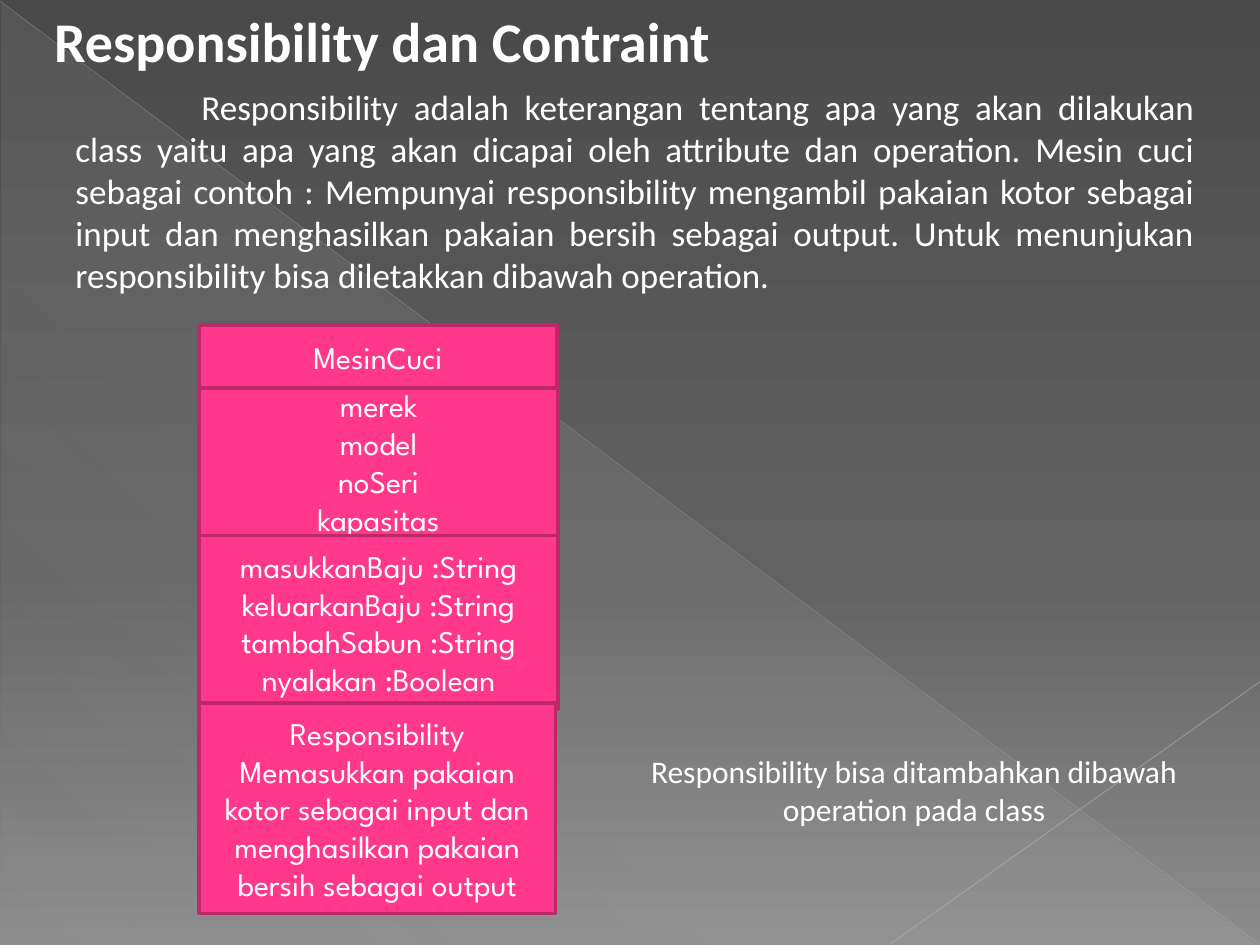
from pptx import Presentation
from pptx.dml.color import RGBColor
from pptx.enum.shapes import MSO_CONNECTOR as CONN, MSO_SHAPE as SHAPE
from pptx.enum.text import MSO_ANCHOR as ANCHOR, MSO_AUTO_SIZE as AUTO, PP_ALIGN as ALIGN
from pptx.oxml import parse_xml
from pptx.oxml.ns import nsdecls, qn
from pptx.util import Inches, Pt

WHITE = RGBColor(0xFF, 0xFF, 0xFF)
PINK = RGBColor(0xFF, 0x38, 0x8C)
DARK_PINK = RGBColor(0xBD, 0x29, 0x68)
DARK_GRAY = RGBColor(0x4A, 0x4A, 0x4A)
MID_GRAY = RGBColor(0x62, 0x62, 0x62)
LIGHT_GRAY = RGBColor(0x8C, 0x8C, 0x8C)
PALE_GRAY = RGBColor(0xD2, 0xD2, 0xD2)
LONG_LINE = RGBColor(0xBF, 0xBF, 0xBF)
SHORT_LINE = RGBColor(0xC6, 0xC6, 0xC6)

CLASS_LEFT = 1.58
# top, width, height, paragraphs of each compartment
COMPARTMENTS = [
    (2.58, 2.84, 0.5, ["MesinCuci"]),
    (3.08, 2.85, 1.17, ["merek", "model", "noSeri", "kapasitas"]),
    (4.25, 2.85, 1.38, ["masukkanBaju :String", "keluarkanBaju :String",
                        "tambahSabun :String", "nyalakan :Boolean"]),
    (5.58, 2.83, 1.67, ["Responsibility",
                        "Memasukkan pakaian kotor sebagai input dan "
                        "menghasilkan pakaian bersih sebagai output"]),
]
BODY = ("Responsibility adalah keterangan tentang apa yang akan dilakukan class "
        "yaitu apa yang akan dicapai oleh attribute dan operation. Mesin cuci "
        "sebagai contoh : Mempunyai responsibility mengambil pakaian kotor sebagai "
        "input dan menghasilkan pakaian bersih sebagai output. Untuk menunjukan "
        "responsibility bisa diletakkan dibawah operation.")


def set_gradient(fill, owner, stops, angle):
    """Fill owner with (position %, colour, opacity %) stops."""
    fill.gradient()
    old = owner.find(".//" + qn("a:gradFill"))
    gs = "".join(
        f'<a:gs pos="{pos * 1000}"><a:srgbClr val="{color}">'
        f'<a:alpha val="{opacity * 1000}"/></a:srgbClr></a:gs>'
        for pos, color, opacity in stops)
    new = parse_xml(f'<a:gradFill {nsdecls("a")} rotWithShape="1"><a:gsLst>{gs}</a:gsLst>'
                    f'<a:lin ang="{angle * 60000}" scaled="0"/></a:gradFill>')
    old.getparent().replace(old, new)


class SlideBuilder:
    text_font = "Calibri"
    class_font = "League Spartan"

    def __init__(self, prs):
        self.s = prs.slides.add_slide(prs.slide_layouts[5])

    def background(self, stops):
        set_gradient(self.s.background.fill, self.s.element, stops, 90)

    def triangle(self, x, y, w, h, stops, angle):
        sp = self.s.shapes.add_shape(SHAPE.RIGHT_TRIANGLE, Inches(x), Inches(y),
                                     Inches(w), Inches(h))
        sp.shadow.inherit = False
        sp.line.fill.background()
        set_gradient(sp.fill, sp.element, stops, angle)

    def line(self, x1, y1, x2, y2, color, width, opacity):
        ln = self.s.shapes.add_connector(CONN.STRAIGHT, Inches(x1), Inches(y1),
                                         Inches(x2), Inches(y2))
        ln.line.color.rgb = color
        ln.line.width = Pt(width)
        clr = ln.element.find(".//" + qn("a:srgbClr"))
        clr.append(parse_xml(f'<a:alpha {nsdecls("a")} val="{opacity * 1000}"/>'))
        ln.element.spPr.append(parse_xml(f'<a:effectLst {nsdecls("a")}/>'))

    def set_text(self, sp, paragraphs, font, size, align, bold=False, anchor=ANCHOR.TOP):
        tf = sp.text_frame
        tf.word_wrap = True
        tf.auto_size = AUTO.NONE
        tf.vertical_anchor = anchor
        tf.text = "\n".join(paragraphs)
        for p in tf.paragraphs:
            p.alignment = align
            p.font.name = font
            p.font.size = Pt(size)
            p.font.bold = bold
            p.font.color.rgb = WHITE
        return tf

    def title(self, x, y, w, h, text):
        sp = self.s.shapes.title
        sp.left, sp.top, sp.width, sp.height = map(Inches, (x, y, w, h))
        self.set_text(sp, [text], self.text_font, 32, ALIGN.LEFT, bold=True)
        sp.element.getparent().append(sp.element)  # in front of the decoration

    def text(self, x, y, w, h, text, size, align):
        sp = self.s.shapes.add_textbox(Inches(x), Inches(y), Inches(w), Inches(h))
        return self.set_text(sp, [text], self.text_font, size, align)

    def compartment(self, x, y, w, h, paragraphs):
        sp = self.s.shapes.add_shape(SHAPE.RECTANGLE, Inches(x), Inches(y),
                                     Inches(w), Inches(h))
        sp.shadow.inherit = False
        sp.fill.solid()
        sp.fill.fore_color.rgb = PINK
        sp.line.color.rgb = DARK_PINK
        sp.line.width = Pt(2)
        self.set_text(sp, paragraphs, self.class_font, 18, ALIGN.CENTER,
                      anchor=ANCHOR.MIDDLE)


def main():
    prs = Presentation()
    prs.slide_width, prs.slide_height = Inches(10), Inches(7.5)
    b = SlideBuilder(prs)

    b.background([(0, DARK_GRAY, 100), (60, MID_GRAY, 100), (100, LIGHT_GRAY, 100)])
    b.triangle(0.01, 0.02, 9.98, 7.48,
               [(0, PALE_GRAY, 10), (70, PALE_GRAY, 8), (100, PALE_GRAY, 1)], 133)
    b.line(0, 0.01, 9.99, 7.49, LONG_LINE, 0.39, 35)
    b.line(10, 5.41, 7.07, 7.49, SHORT_LINE, 0.47, 45)

    b.title(0.33, 0, 7.5, 0.71, "Responsibility dan Contraint")
    tf = b.text(0.5, 0.58, 9.08, 6.75, BODY, 20, ALIGN.JUSTIFY)
    tf.margin_top = Inches(0.1)
    tf.paragraphs[0]._p.get_or_add_pPr().set("indent", str(Inches(1)))

    for top, width, height, paragraphs in COMPARTMENTS:
        b.compartment(CLASS_LEFT, top, width, height, paragraphs)
    b.text(4.92, 5.92, 4.67, 0.92,
           "Responsibility bisa ditambahkan dibawah operation pada class", 18, ALIGN.CENTER)

    prs.save("out.pptx")


if __name__ == "__main__":
    main()
